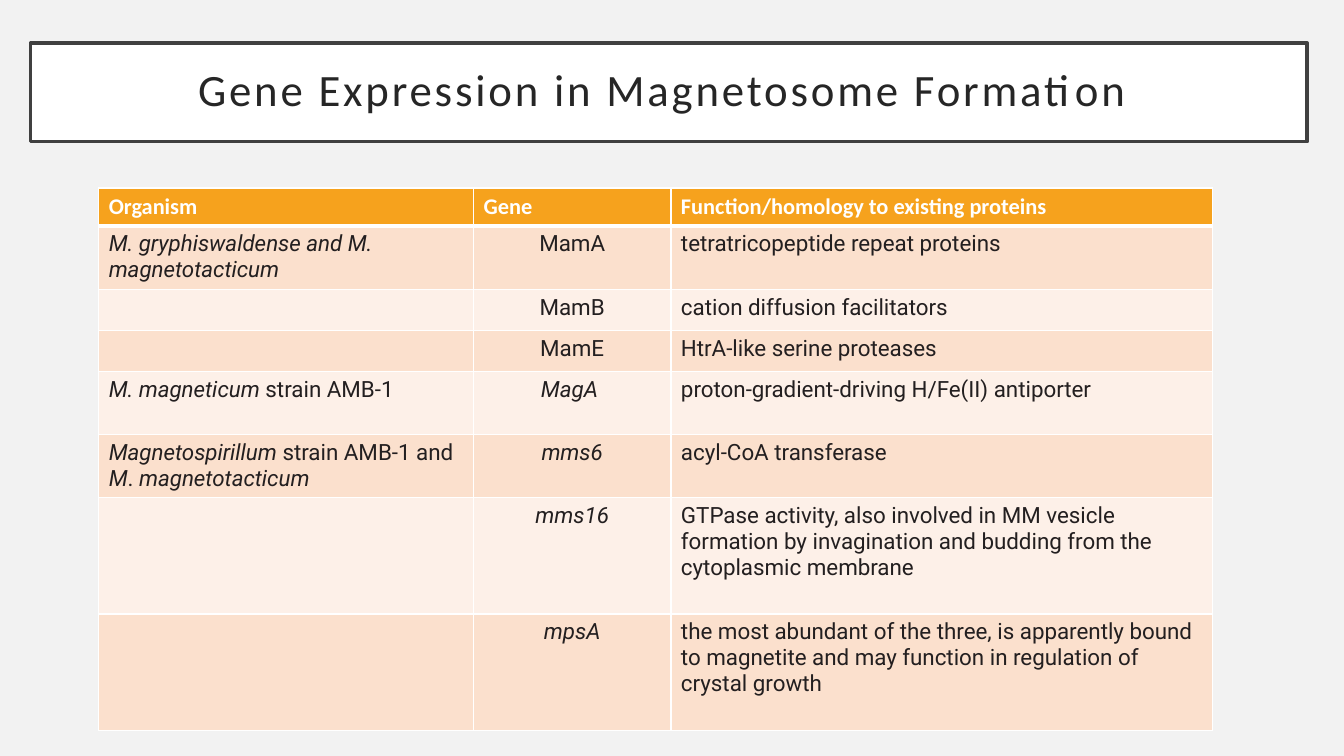
from dataclasses import dataclass

from lxml import etree
from pptx import Presentation
from pptx.dml.color import RGBColor
from pptx.enum.text import MSO_ANCHOR, MSO_AUTO_SIZE, PP_ALIGN
from pptx.oxml.ns import qn
from pptx.slide import Slide
from pptx.table import _Cell
from pptx.util import Emu, Pt

LEFT, CENTER = PP_ALIGN.LEFT, PP_ALIGN.CENTER
MIDDLE = MSO_ANCHOR.MIDDLE
FIXED = MSO_AUTO_SIZE.NONE
SCALE = 9525
WHITE = "FFFFFF"
INK = "231F20"
HEAD = "F6A21D"
BANDS = ("FBE0CD", "FDF0E8")
WIDTHS = (357, 188, 516)
THIN, THICK = 1, 3


@dataclass
class Row:
    height: int
    host: str
    gene: str
    role: str


ROWS = [
    Row(36, "Organism", "Gene", "Function/homology to existing proteins"),
    Row(61, "*M. gryphiswaldense and M. magnetotacticum*", "MamA",
        "tetratricopeptide repeat proteins"),
    Row(39, "", "MamB", "cation diffusion facilitators"),
    Row(39, "", "MamE", "HtrA-like serine proteases"),
    Row(60, "*M. magneticum *strain AMB-1", "*MagA *",
        "proton-gradient-driving H/Fe(II) antiporter"),
    Row(60, "*Magnetospirillum *strain AMB-1 and *M*. *magnetotacticum*",
        "*mms6*", "acyl-CoA transferase"),
    Row(111, "", "*mms16*",
        "GTPase activity, also involved in MM vesicle formation by "
        "invagination and budding from the cytoplasmic membrane"),
    Row(111, "", "*mpsA*",
        "the most abundant of the three, is apparently bound to magnetite "
        "and may function in regulation of crystal growth"),
]


def px(size: int) -> Emu:
    return Emu(size * SCALE)


def color(code: str) -> RGBColor:
    return RGBColor.from_string(code)


def edge(cell: _Cell, side: str, width: int) -> None:
    props = cell._tc.get_or_add_tcPr()
    line = etree.SubElement(props, qn(f"a:ln{side}"), w=str(Pt(width)))
    fill = etree.SubElement(line, qn("a:solidFill"))
    etree.SubElement(fill, qn("a:srgbClr"), val=WHITE)


def write(cell: _Cell, text: str, head: bool, align: PP_ALIGN) -> None:
    para = cell.text_frame.paragraphs[0]
    para.alignment = align
    for index, part in enumerate(text.split("*")):
        if not part:
            continue
        run = para.add_run()
        run.text = part
        font = run.font
        font.name = "Calibri" if head else "Roboto"
        font.size = Pt(16)
        font.bold = head
        font.italic = index % 2 == 1
        font.color.rgb = color(WHITE if head else INK)


def add_title(slide: Slide) -> None:
    title = slide.shapes.title
    title.left, title.top, title.width, title.height = map(px, (29, 41, 1216, 94))
    title.fill.solid()
    title.fill.fore_color.rgb = color(WHITE)
    title.line.color.rgb = color("404040")
    title.line.width = Pt(2.5)
    frame = title.text_frame
    frame.text = "Gene Expression in Magnetosome Formation "
    frame.word_wrap = True
    frame.auto_size = FIXED
    frame.vertical_anchor = MIDDLE
    frame.margin_left = frame.margin_right = px(19)
    frame.margin_top = frame.margin_bottom = px(19)
    para = frame.paragraphs[0]
    para.alignment = CENTER
    para.line_spacing = 0.9
    run = para.runs[0]
    run.font.name = "Calibri"
    run.font.size = Pt(32)
    run.font.color.rgb = color("262626")
    run._r.get_or_add_rPr().set("spc", "200")


def add_genes(slide: Slide) -> None:
    high = sum(row.height for row in ROWS)
    box = map(px, (94, 179, sum(WIDTHS), high))
    table = slide.shapes.add_table(len(ROWS), len(WIDTHS), *box).table
    for column, width in zip(table.columns, WIDTHS):
        column.width = px(width)
    for r, row in enumerate(ROWS):
        table.rows[r].height = px(row.height)
        head = r == 0
        for c, text in enumerate((row.host, row.gene, row.role)):
            cell = table.cell(r, c)
            edge(cell, "L", THIN)
            edge(cell, "R", THIN)
            edge(cell, "T", THICK if r == 1 else THIN)
            edge(cell, "B", THICK if head else THIN)
            cell.fill.solid()
            cell.fill.fore_color.rgb = color(HEAD if head else BANDS[(r - 1) % 2])
            write(cell, text, head, CENTER if c == 1 and not head else LEFT)


def main() -> None:
    deck = Presentation()
    deck.slide_width, deck.slide_height = px(1280), px(720)
    slide = deck.slides.add_slide(deck.slide_layouts[5])
    slide.background.fill.solid()
    slide.background.fill.fore_color.rgb = color("F2F2F2")
    add_title(slide)
    add_genes(slide)
    deck.save("out.pptx")


if __name__ == "__main__":
    main()
